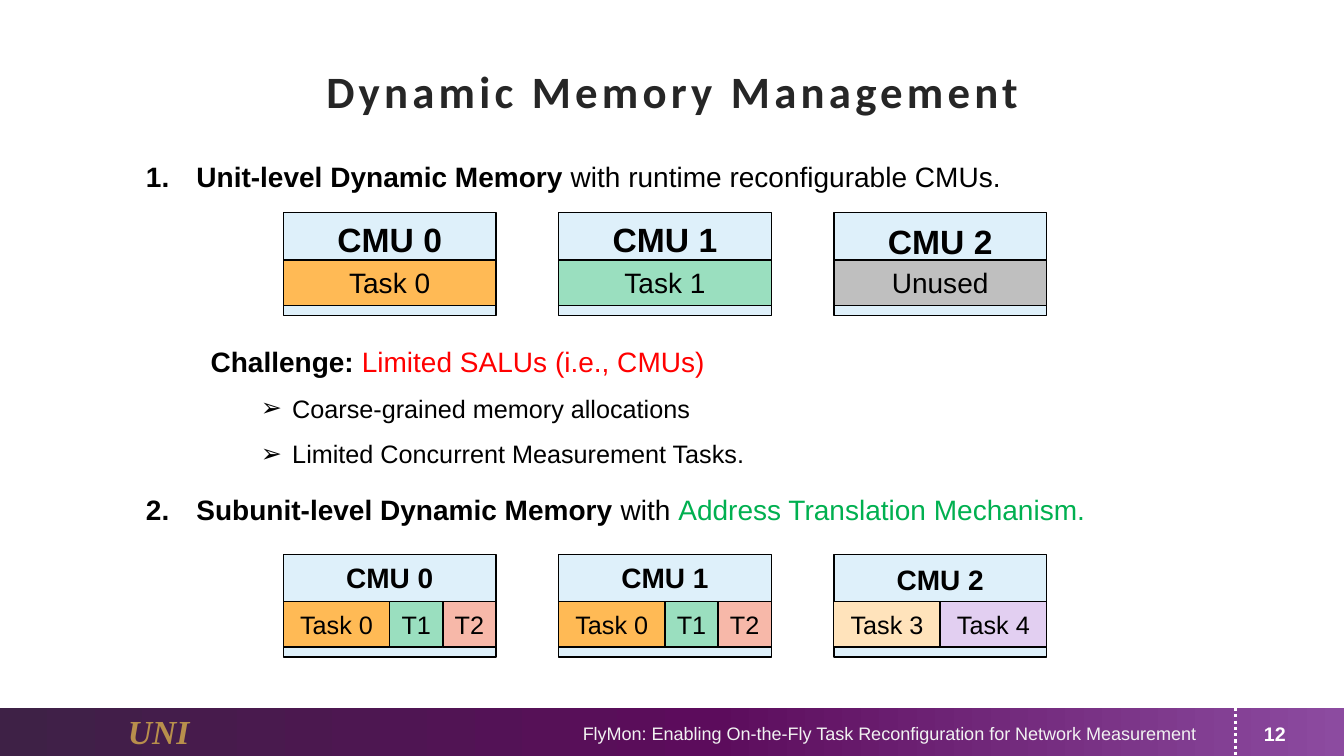
from pptx import Presentation
from pptx.dml.color import RGBColor
from pptx.enum.dml import MSO_LINE
from pptx.enum.shapes import MSO_CONNECTOR as CONN, MSO_SHAPE as SHAPE
from pptx.enum.text import MSO_ANCHOR as ANCHOR, PP_ALIGN as ALIGN
from pptx.oxml.ns import qn
from pptx.util import Inches, Pt
from lxml.etree import SubElement

COLORS = {
    "black": "000000", "white": "FFFFFF", "title": "262626", "footer": "F2F2F2",
    "gold": "B88F4C", "red": "FF0000", "green": "00B050", "unit": "DEF0FA",
    "orange": "FFBA55", "mint": "9ADFBF", "grey": "BFBFBF", "pink": "F7B8A9",
    "cream": "FFE3BB", "lilac": "E2CFF1",
    "bar_left": "3E2146", "bar_mid": "5C0C5C", "bar_right": "8C4BA0",
}
UNIT_LEFT, UNIT_STEP, UNIT_W, UNIT_H = 2.81, 2.73, 2.11, 1.02
TASK_DROP, TASK_H = 0.47, 0.45
LABEL_W = 1.29

# Per unit: tasks as (name, colour, share of the unit's memory)
WHOLE_UNITS = [
    [("Task 0", "orange", 1)],
    [("Task 1", "mint", 1)],
    [("Unused", "grey", 1)],
]
SHARED = [("Task 0", "orange", 0.5), ("T1", "mint", 0.25), ("T2", "pink", 0.25)]
SPLIT_UNITS = [
    SHARED,
    SHARED,
    [("Task 3", "cream", 0.5), ("Task 4", "lilac", 0.5)],
]


def rgb(name):
    return RGBColor.from_string(COLORS[name])


class SlideBuilder:
    def __init__(self, prs):
        self.slide = prs.slides.add_slide(prs.slide_layouts[5])
        self.shapes = self.slide.shapes
        self.font = {"name": "Arial", "size": Pt(20), "bold": False, "italic": False}

    def add_runs(self, p, runs, align=ALIGN.LEFT, **base):
        """Add (text, format) runs to a paragraph; base holds their shared format."""
        p.alignment = align
        for text, own in runs:
            r = p.add_run()
            r.text = text
            fmt = {**self.font, "color": "black", **base, **own}
            r.font.color.rgb = rgb(fmt.pop("color"))
            for key, value in fmt.items():
                setattr(r.font, key, value)

    def bullet(self, p, mark, indent, hang, start=1):
        """Give a paragraph a bullet character, or numbering when mark is None."""
        pPr = p._p.get_or_add_pPr()
        pPr.set("marL", str(Inches(indent)))
        pPr.set("indent", str(-Inches(hang)))
        if mark:
            SubElement(pPr, qn("a:buFont"), typeface="Arial")
            SubElement(pPr, qn("a:buChar"), char=mark)
        else:
            SubElement(pPr, qn("a:buFont"), typeface="+mj-lt")
            SubElement(pPr, qn("a:buAutoNum"), type="arabicPeriod", startAt=str(start))

    def title(self, text, x, y, w, h):
        sp = self.shapes.title
        sp.left, sp.top, sp.width, sp.height = map(Inches, (x, y, w, h))
        tf = sp.text_frame
        tf.vertical_anchor = ANCHOR.MIDDLE
        p = tf.paragraphs[0]
        self.add_runs(p, [(text, {})], ALIGN.CENTER, name="Calibri", size=Pt(32),
                      bold=True, color="title")
        p.runs[0].font._element.set("spc", "300")

    def text(self, runs, x, y, w, h, align=ALIGN.LEFT, anchor=ANCHOR.TOP, wrap=True, **base):
        tf = self.shapes.add_textbox(*map(Inches, (x, y, w, h))).text_frame
        tf.word_wrap, tf.vertical_anchor = wrap, anchor
        self.add_runs(tf.paragraphs[0], runs, align, **base)
        return tf

    def heading(self, number, runs, y):
        tf = self.text(runs, 1.35, y, 10.74, 0.44)
        self.bullet(tf.paragraphs[0], None, 0.5, 0.5, number)

    def box(self, x, y, w, h, color=None, text="", size=18):
        sp = self.shapes.add_shape(SHAPE.RECTANGLE, *map(Inches, (x, y, w, h)))
        sp.shadow.inherit = False
        if color:
            sp.fill.solid()
            sp.fill.fore_color.rgb = rgb(color)
        sp.line.color.rgb = rgb("black")
        sp.line.width = Pt(1)
        if text:
            tf = sp.text_frame
            tf.vertical_anchor = ANCHOR.MIDDLE
            tf.margin_left = tf.margin_right = 0
            self.add_runs(tf.paragraphs[0], [(text, {})], ALIGN.CENTER, size=Pt(size))
        return sp

    def gradient_bar(self, x, y, w, h, stops):
        sp = self.box(x, y, w, h)
        sp.line.fill.background()
        sp.fill.gradient()
        sp.fill.gradient_angle = 0
        gs_list = sp._element.spPr.find(".//" + qn("a:gsLst"))
        for gs in list(gs_list):
            gs_list.remove(gs)
        for percent, color in stops:
            gs = SubElement(gs_list, qn("a:gs"), pos=str(percent * 1000))
            SubElement(gs, qn("a:srgbClr"), val=COLORS[color])

    def dotted_line(self, x1, y1, x2, y2):
        line = self.shapes.add_connector(CONN.STRAIGHT, *map(Inches, (x1, y1, x2, y2)))
        line.line.color.rgb = rgb("white")
        line.line.width = Pt(2.25)
        line.line.dash_style = MSO_LINE.ROUND_DOT
        SubElement(line._element.spPr, qn("a:effectLst"))

    def unit_row(self, y, units, label_size, task_size, label_h):
        for i, tasks in enumerate(units):
            x = UNIT_LEFT + i * UNIT_STEP
            self.box(x, y, UNIT_W, UNIT_H, "unit")
            label_y = y + (0.03 if i == 2 else 0.01)
            self.text([(f"CMU {i}", {})], x + (UNIT_W - LABEL_W) / 2, label_y, LABEL_W,
                      label_h, ALIGN.CENTER, size=Pt(label_size), bold=True)
            for name, color, share in tasks:
                self.box(x, y + TASK_DROP, UNIT_W * share, TASK_H, color, name, task_size)
                x += UNIT_W * share

    def challenge(self, runs, points, x, y, w, h):
        tf = self.text(runs, x, y, w, h, ALIGN.JUSTIFY)
        tf.paragraphs[0].line_spacing = 1.2
        for point in points:
            p = tf.add_paragraph()
            p.level, p.line_spacing = 1, 1.5
            self.add_runs(p, [(point, {})], ALIGN.JUSTIFY, size=Pt(18))
            self.bullet(p, "➢", 0.81, 0.31)

    def footer(self, mark, text, number):
        self.gradient_bar(0, 7.02, 13.33, 0.48,
                          [(0, "bar_left"), (53, "bar_mid"), (100, "bar_right")])
        self.text([(mark, {})], 1.17, 7, 0.86, 0.5, wrap=False, name="Times New Roman",
                  size=Pt(24), bold=True, italic=True, color="gold")
        self.dotted_line(12.25, 6.9, 12.25, 7.5)
        self.text([(text, {})], 5.47, 7.1, 6.49, 0.35, ALIGN.RIGHT, ANCHOR.MIDDLE,
                  size=Pt(12.9), color="footer")
        self.text([(number, {})], 12.21, 7.1, 0.87, 0.35, ALIGN.CENTER, ANCHOR.MIDDLE,
                  size=Pt(14), bold=True, color="white")


def main():
    prs = Presentation()
    prs.slide_width, prs.slide_height = Inches(13.33), Inches(7.5)
    s = SlideBuilder(prs)
    bold = {"bold": True}

    s.footer("UNI", "FlyMon: Enabling On-the-Fly Task Reconfiguration for Network Measurement",
             "12")
    s.title("Dynamic Memory Management", 0.67, 0.51, 12, 0.77)

    s.heading(1, [("Unit-level Dynamic Memory ", bold),
                  ("with runtime reconfigurable CMUs.", {})], 1.53)
    s.unit_row(2.11, WHOLE_UNITS, 24, 20, 0.41)
    s.challenge([("Challenge: ", bold), ("Limited SALUs (i.e., CMUs)", {"color": "red"})],
                ["Coarse-grained memory allocations", "Limited Concurrent Measurement Tasks."],
                1.99, 3.3, 10.49, 1.33)

    s.heading(2, [("Subunit-level Dynamic Memory ", bold), ("with ", {}),
                  ("Address Translation Mechanism.", {"color": "green"})], 4.84)
    s.unit_row(5.5, SPLIT_UNITS, 20, 18, 0.47)
    prs.save("out.pptx")


if __name__ == "__main__":
    main()
